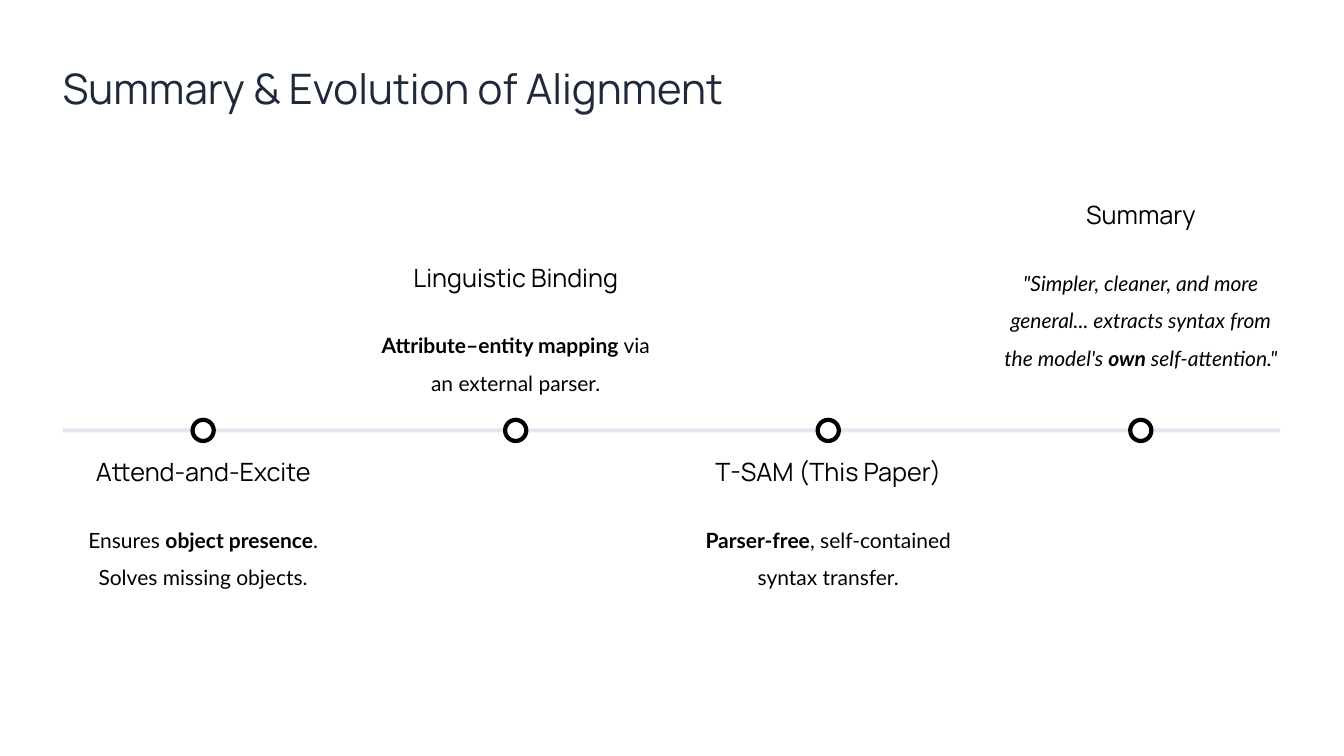
"""Build the alignment timeline slide."""
import pptx
import pptx.dml.color
import pptx.enum.shapes
import pptx.enum.text
import pptx.util
from pptx.util import Inches

TITLE = "Summary & Evolution of Alignment"
MILESTONES = [
    {"name": "Attend-and-Excite", "top": 4.53, "lines": 2, "italic": False,
     "spans": [("Ensures ", False), ("object presence", True), (". Solves missing objects.", False)]},
    {"name": "Linguistic Binding", "top": 2.6, "lines": 2, "italic": False,
     "spans": [("Attribute–entity mapping", True), (" via an external parser.", False)]},
    {"name": "T-SAM (This Paper)", "top": 4.53, "lines": 2, "italic": False,
     "spans": [("Parser-free", True), (", self-contained syntax transfer.", False)]},
    {"name": "Summary", "top": 1.98, "lines": 3, "italic": True,
     "spans": [('"Simpler, cleaner, and more general... extracts syntax from the model\'s ', False),
               ("own", True), (' self-attention."', False)]},
]
COLORS = {"title": "1E293B", "text": "000000", "track": "E2E8F0", "dot": "FFFFFF"}
HEADING_FONT, BODY_FONT = "Manrope", "Lato"

LEFT = 0.62
FIRST_CENTER, STEP = 2.015, 3.1
TRACK_MIDDLE, TRACK_WIDTH, TRACK_HEIGHT = 4.27, 12.08, 0.04
DOT = 0.21
NAME_WIDTH, NAME_HEIGHT = 2.92, 0.3
BODY_WIDTH, BODY_DROP, LINE_HEIGHT = 2.78, 0.575, 0.32


def color(name):
    return pptx.dml.color.RGBColor.from_string(COLORS[name])


def write(box, spans, *, font, size, fill="text", align="CENTER", italic=False, spacing=1.0):
    frame = box.text_frame
    frame.word_wrap = True
    frame.auto_size = pptx.enum.text.MSO_AUTO_SIZE.NONE
    frame.vertical_anchor = pptx.enum.text.MSO_ANCHOR.TOP
    frame.margin_left = frame.margin_right = frame.margin_top = frame.margin_bottom = 0
    para = frame.paragraphs[0]
    para.alignment = getattr(pptx.enum.text.PP_ALIGN, align)
    para.line_spacing = spacing
    for text, bold in spans:
        span = para.add_run()
        span.text = text
        span.font.name = font
        span.font.size = pptx.util.Pt(size)
        span.font.bold = bold
        span.font.italic = italic
        span.font.color.rgb = color(fill)


def add_centered_text(page, center, top, width, height, spans, **style):
    box = page.shapes.add_textbox(
        Inches(center - width / 2), Inches(top), Inches(width), Inches(height))
    write(box, spans, **style)


def add_rounded(page, left, width, height, fill, rounding):
    shape = page.shapes.add_shape(
        pptx.enum.shapes.MSO_SHAPE.ROUNDED_RECTANGLE, Inches(left),
        Inches(TRACK_MIDDLE - height / 2), Inches(width), Inches(height))
    shape.adjustments[0] = rounding
    shape.shadow.inherit = False
    shape.fill.solid()
    shape.fill.fore_color.rgb = color(fill)
    shape.line.fill.background()
    return shape


def main():
    deck = pptx.Presentation()
    deck.slide_width, deck.slide_height = Inches(13.33), Inches(7.5)
    page = deck.slides.add_slide(deck.slide_layouts.get_by_name("Title Only"))

    title = page.shapes.title
    title.left, title.top = Inches(LEFT), Inches(0.62)
    title.width, title.height = Inches(12.69), Inches(0.62)
    write(title, [(TITLE, False)], font=HEADING_FONT, size=30, fill="title", align="LEFT")

    add_rounded(page, LEFT, TRACK_WIDTH, TRACK_HEIGHT, "track", 0.167)
    for index, milestone in enumerate(MILESTONES):
        center = FIRST_CENTER + index * STEP
        top = milestone["top"]
        add_centered_text(page, center, top, NAME_WIDTH, NAME_HEIGHT,
                          [(milestone["name"], False)], font=HEADING_FONT, size=18)
        add_centered_text(page, center, top + BODY_DROP, BODY_WIDTH,
                          milestone["lines"] * LINE_HEIGHT, milestone["spans"],
                          font=BODY_FONT, size=15, italic=milestone["italic"], spacing=1.5)
        dot = add_rounded(page, center - DOT / 2, DOT, DOT, "dot", 0.5)
        dot.line.color.rgb = color("text")
        dot.line.width = pptx.util.Pt(3)

    deck.save("out.pptx")


if __name__ == "__main__":
    main()
